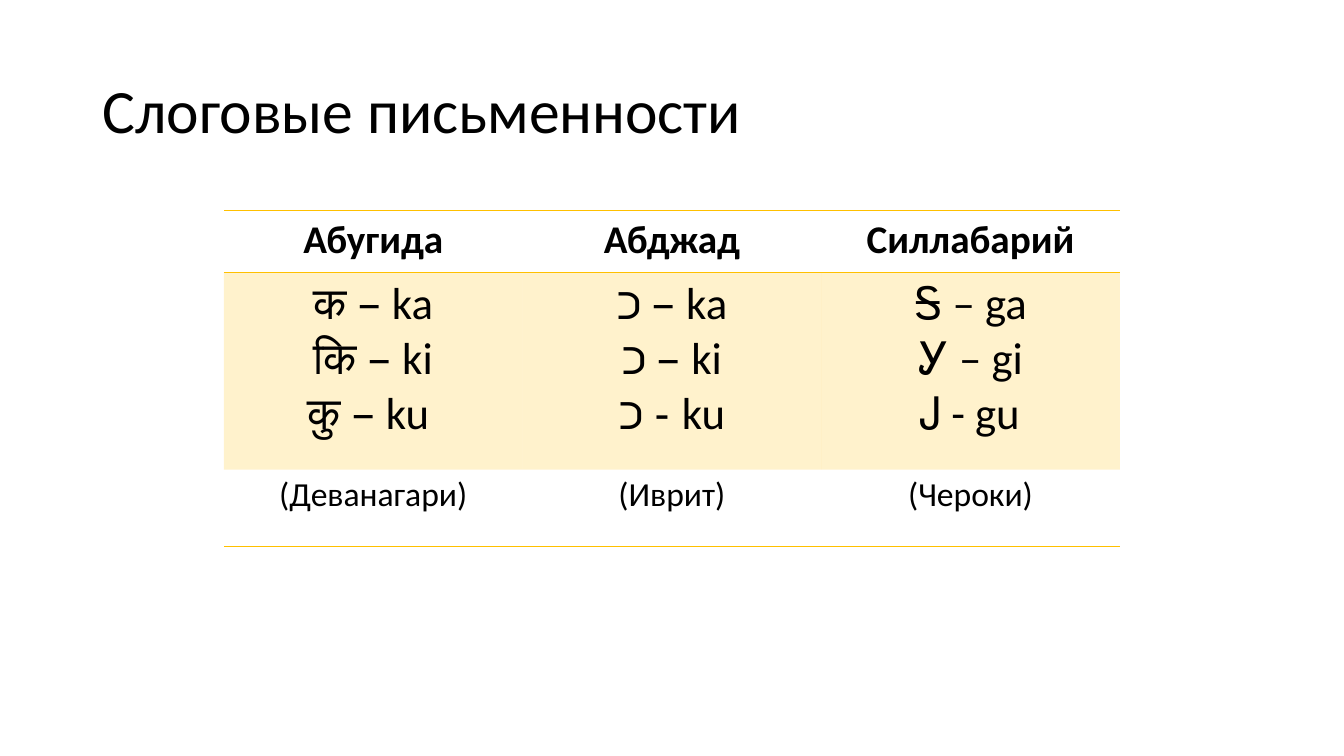
from dataclasses import dataclass

from lxml.etree import SubElement
from pptx import Presentation
from pptx.dml.color import RGBColor
from pptx.enum.text import MSO_ANCHOR, PP_ALIGN
from pptx.oxml.ns import qn
from pptx.util import Pt

BLACK = "000000"
AMBER = "FFC000"
BODY_FONT = "Calibri"
NO_STYLE_ID = "{2D5ABB26-0587-4C30-8999-92F81FD0307C}"
TABLE_LEFT, TABLE_TOP, TABLE_WIDTH = 160, 150.5, 640
ROW_HEIGHTS = (44, 141, 55)


@dataclass(frozen=True)
class Script:
    kind: str
    syllables: tuple[tuple[str, str], ...]
    glyph_font: str
    name: str


SCRIPTS = (
    Script("Абугида", (("क – ", "ka"), ("कि – ", "ki"), ("कु – ", "ku ")), "Lato", "(Деванагари)"),
    Script("Абджад", (("כ – ", "ka"), ("כ – ", "ki"), ("כ - ", "ku")), "Arial", "(Иврит)"),
    Script("Силлабарий", (("Ꭶ – ", "ga"), ("Ꭹ – ", "gi"), ("Ꭻ - ", "gu")), BODY_FONT, "(Чероки)"),
)


def color(value: str) -> RGBColor:
    return RGBColor.from_string(value)


def format_run(run, size: float, name: str = BODY_FONT, bold: bool = False) -> None:
    run.font.size = Pt(size)
    run.font.name = name
    run.font.bold = bold
    run.font.color.rgb = color(BLACK)


def write_label(cell, text: str, size: float, bold: bool = False) -> None:
    paragraph = cell.text_frame.paragraphs[0]
    paragraph.text = text
    paragraph.alignment = PP_ALIGN.CENTER
    format_run(paragraph.runs[0], size, bold=bold)


def write_syllables(cell, script: Script) -> None:
    """Write one line per syllable: glyph in its own font, then its reading."""
    frame = cell.text_frame
    for index, (glyph, reading) in enumerate(script.syllables):
        paragraph = frame.add_paragraph() if index else frame.paragraphs[0]
        paragraph.alignment = PP_ALIGN.CENTER
        for text, font in ((glyph, script.glyph_font), (reading, BODY_FONT)):
            run = paragraph.add_run()
            run.text = text
            format_run(run, 32, font)


def add_borders(cell, *sides: str) -> None:
    properties = cell._tc.get_or_add_tcPr()
    for side in sides:
        line = SubElement(properties, qn(f"a:{side}"), w=str(Pt(1)))
        fill = SubElement(line, qn("a:solidFill"))
        SubElement(fill, qn("a:srgbClr"), val=AMBER)


def tint(cell, value: str, opacity: int) -> None:
    """Fill a cell with a colour at the given opacity in percent."""
    cell.fill.solid()
    cell.fill.fore_color.rgb = color(value)
    solid = cell._tc.get_or_add_tcPr().find(qn("a:solidFill"))
    SubElement(solid[0], qn("a:alpha"), val=str(opacity * 1000))


def add_title(slide, text: str) -> None:
    title = slide.shapes.title
    title.left, title.top, title.width, title.height = Pt(66), Pt(28.75), Pt(828), Pt(104.4)
    frame = title.text_frame
    frame.text = text
    frame.word_wrap = True
    frame.vertical_anchor = MSO_ANCHOR.MIDDLE
    paragraph = frame.paragraphs[0]
    paragraph.alignment = PP_ALIGN.LEFT
    paragraph.line_spacing = 0.9
    format_run(paragraph.runs[0], 44)


def add_script_table(slide) -> None:
    graphic_frame = slide.shapes.add_table(
        len(ROW_HEIGHTS), len(SCRIPTS), Pt(TABLE_LEFT), Pt(TABLE_TOP),
        Pt(TABLE_WIDTH), Pt(sum(ROW_HEIGHTS)))
    table = graphic_frame.table
    table._tbl.tblPr.find(qn("a:tableStyleId")).text = NO_STYLE_ID
    table.horz_banding = False
    for row, height in zip(table.rows, ROW_HEIGHTS):
        row.height = Pt(height)
    for column, script in enumerate(SCRIPTS):
        header, syllables, name = (table.cell(row, column) for row in range(len(ROW_HEIGHTS)))
        write_label(header, script.kind, 28, bold=True)
        write_syllables(syllables, script)
        write_label(name, script.name, 24)
        add_borders(header, "lnT", "lnB")
        add_borders(name, "lnB")
        header.fill.background()
        tint(syllables, AMBER, 20)
        name.fill.background()


def main() -> None:
    presentation = Presentation()
    presentation.slide_width, presentation.slide_height = Pt(960), Pt(540)
    slide = presentation.slides.add_slide(presentation.slide_layouts.get_by_name("Title Only"))
    add_title(slide, "Слоговые письменности")
    add_script_table(slide)
    presentation.save("out.pptx")


if __name__ == "__main__":
    main()
